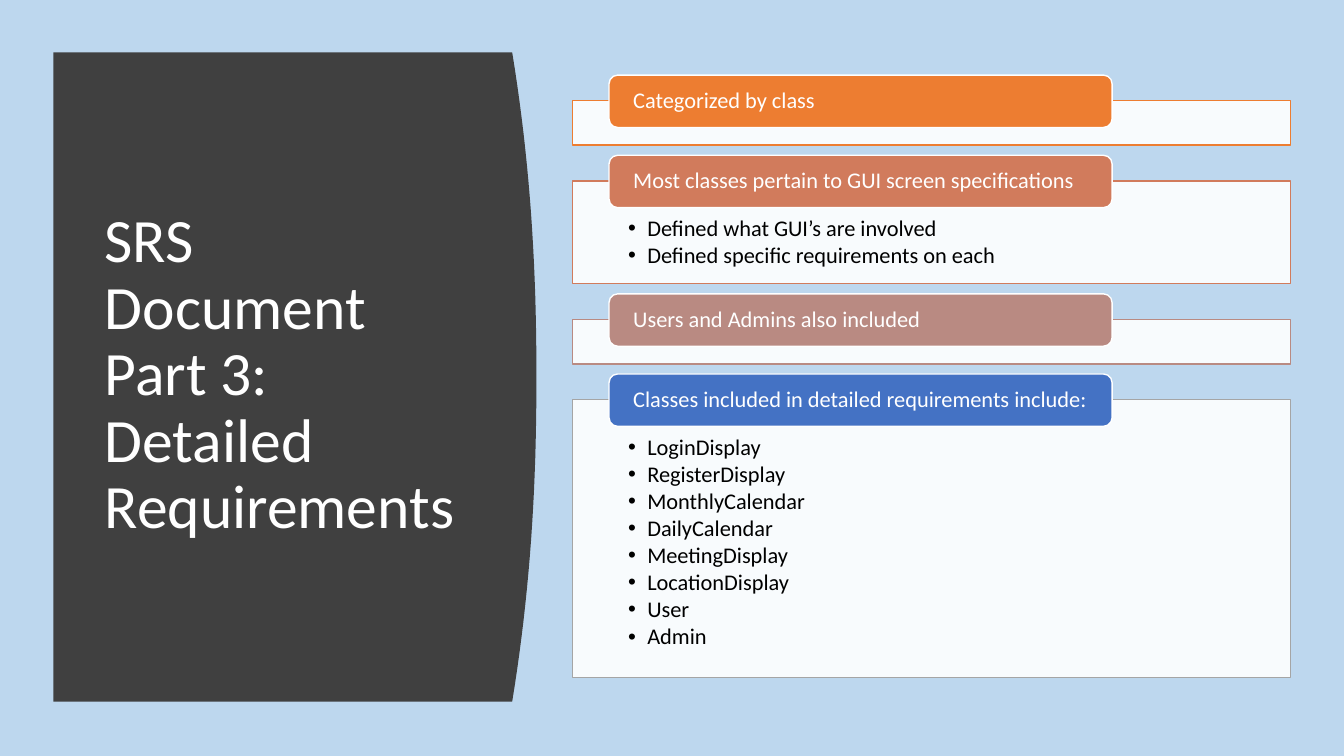
"""Builds the detailed-requirements slide of an SRS presentation."""
import dataclasses

import lxml.etree
import pptx
import pptx.dml.color
import pptx.enum.shapes
import pptx.enum.text
import pptx.oxml.ns
import pptx.util

SHAPE = pptx.enum.shapes.MSO_SHAPE
ANCHOR = pptx.enum.text.MSO_ANCHOR
ALIGN = pptx.enum.text.PP_ALIGN


@dataclasses.dataclass(frozen=True)
class Theme:
    """Keeps the colours, font, type sizes and grid cell of the slide."""
    font: str = "Calibri"
    title_size: int = 44
    text_size: int = 16
    background: str = "BDD7EE"
    panel: str = "404040"
    light: str = "FFFFFF"
    dark: str = "000000"
    orange: str = "ED7D31"
    terracotta: str = "D17B5C"
    rose: str = "B98A82"
    blue: str = "4472C4"
    grey: str = "A5A5A5"
    frame_opacity: int = 90
    cell: float = 0.1


class SlideBuilder:
    """Draws each kind of element on the current slide in grid cells."""

    def __init__(self, deck, theme):
        self.theme = theme
        self.slide = deck.slides.add_slide(deck.slide_layouts[6])
        self.paint(self.slide.background.fill, theme.background)

    def grid(self, *cells):
        """Turns grid cells into lengths."""
        return [pptx.util.Inches(count * self.theme.cell) for count in cells]

    def paint(self, fill, color, opacity=100):
        """Applies a solid colour, see-through when opacity is below 100."""
        fill.solid()
        fill.fore_color.rgb = pptx.dml.color.RGBColor.from_string(color)
        if opacity < 100:
            color_node = fill._xPr.find(".//" + pptx.oxml.ns.qn("a:srgbClr"))
            lxml.etree.SubElement(color_node, pptx.oxml.ns.qn("a:alpha"), val=str(opacity * 1000))

    def box(self, preset, place, fill, line, opacity=100):
        """Adds a preset shape with a thin outline."""
        shape = self.slide.shapes.add_shape(preset, *self.grid(*place))
        shape.shadow.inherit = False
        self.paint(shape.fill, fill, opacity)
        self.paint(shape.line.fill, line)
        shape.line.width = pptx.util.Pt(1)
        return shape

    def typeset(self, holder, text, size, color, anchor, insets, after=0, bullet=False):
        """Fills a text holder and formats its paragraphs."""
        frame = holder.text_frame
        frame.word_wrap = True
        frame.vertical_anchor = anchor
        (frame.margin_left, frame.margin_top,
         frame.margin_right, frame.margin_bottom) = self.grid(*insets)
        frame.text = text
        for paragraph in frame.paragraphs:
            paragraph.alignment = ALIGN.LEFT
            paragraph.line_spacing = 0.9
            paragraph.space_after = pptx.util.Pt(after)
            if bullet:
                self.bullet(paragraph)
            for run in paragraph.runs:
                run.font.name = self.theme.font
                run.font.size = pptx.util.Pt(size)
                self.paint(run.font.fill, color)

    def bullet(self, paragraph):
        """Gives a paragraph a hanging bullet."""
        indent, = self.grid(1.9)
        properties = paragraph._p.get_or_add_pPr()
        properties.set("marL", str(indent))
        properties.set("indent", str(-indent))
        lxml.etree.SubElement(properties, pptx.oxml.ns.qn("a:buFont"), typeface="Arial")
        lxml.etree.SubElement(properties, pptx.oxml.ns.qn("a:buChar"), char="•")

    def curved_panel(self, left, top, right, bottom, bulge, steps=40):
        """Adds a panel whose right edge bows outward."""
        middle, half = (top + bottom) / 2, (bottom - top) / 2
        turns = [2 * step / steps - 1 for step in range(steps + 1)]
        edge = [(right - bulge * abs(turn) ** 2.2, middle + half * turn) for turn in turns]
        outline = self.slide.shapes.build_freeform(*self.grid(left, top))
        outline.add_line_segments([self.grid(*point) for point in edge + [(left, bottom)]])
        panel = outline.convert_to_shape()
        panel.shadow.inherit = False
        self.paint(panel.fill, self.theme.panel)
        panel.line.fill.background()

    def title(self, place, text):
        """Adds the slide title."""
        heading = self.slide.shapes.add_textbox(*self.grid(*place))
        self.typeset(heading, text, self.theme.title_size, self.theme.light,
                     ANCHOR.MIDDLE, (1, 0.5, 1, 0.5))

    def card(self, top, height, heading, details, color, outline):
        """Adds a framed detail list with a heading tab over its top edge."""
        theme = self.theme
        frame = self.box(SHAPE.RECTANGLE, (56.8, top, 71.2, height),
                         theme.light, outline, theme.frame_opacity)
        if details:
            self.typeset(frame, "\n".join(details), theme.text_size, theme.dark,
                         ANCHOR.TOP, (5.5, 3.6, 5.5, 1.2), after=2.1, bullet=True)
        tab = self.box(SHAPE.ROUNDED_RECTANGLE, (60.4, top - 2.55, 49.9, 5.2), color, theme.light)
        self.typeset(tab, heading, theme.text_size, theme.light,
                     ANCHOR.MIDDLE, (2.15, 0, 2.15, 0))


theme = Theme()
deck = pptx.Presentation()
deck.slide_width, deck.slide_height = pptx.util.Inches(13.33), pptx.util.Inches(7.5)
builder = SlideBuilder(deck, theme)
builder.curved_panel(5.3, 5.2, 53.2, 69.6, bulge=2.4)
builder.title((9.4, 11.1, 37.4, 52.4), "SRS Document Part 3: Detailed Requirements")

requirements = [
    ("Categorized by class", [], theme.orange, theme.orange),
    ("Most classes pertain to GUI screen specifications",
     ["Defined what GUI’s are involved", "Defined specific requirements on each"],
     theme.terracotta, theme.terracotta),
    ("Users and Admins also included", [], theme.rose, theme.rose),
    ("Classes included in detailed requirements include:",
     ["LoginDisplay", "RegisterDisplay", "MonthlyCalendar", "DailyCalendar",
      "MeetingDisplay", "LocationDisplay", "User", "Admin"],
     theme.blue, theme.grey),
]
EMPTY_HEIGHT, DETAIL_HEIGHT, GAP = 4.4, 2.9, 3.55
card_top = 10
for heading, details, color, outline in requirements:
    card_height = EMPTY_HEIGHT + DETAIL_HEIGHT * len(details)
    builder.card(card_top, card_height, heading, details, color, outline)
    card_top += card_height + GAP

deck.save("out.pptx")
